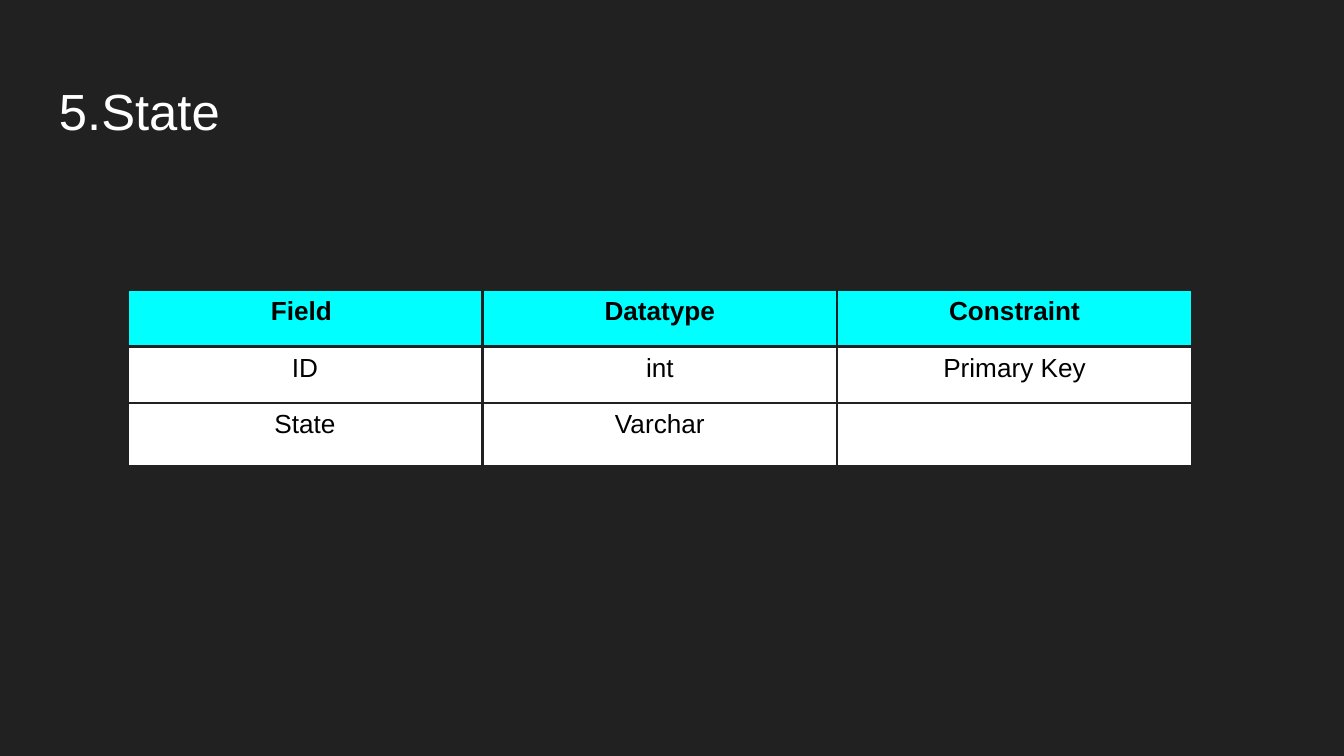
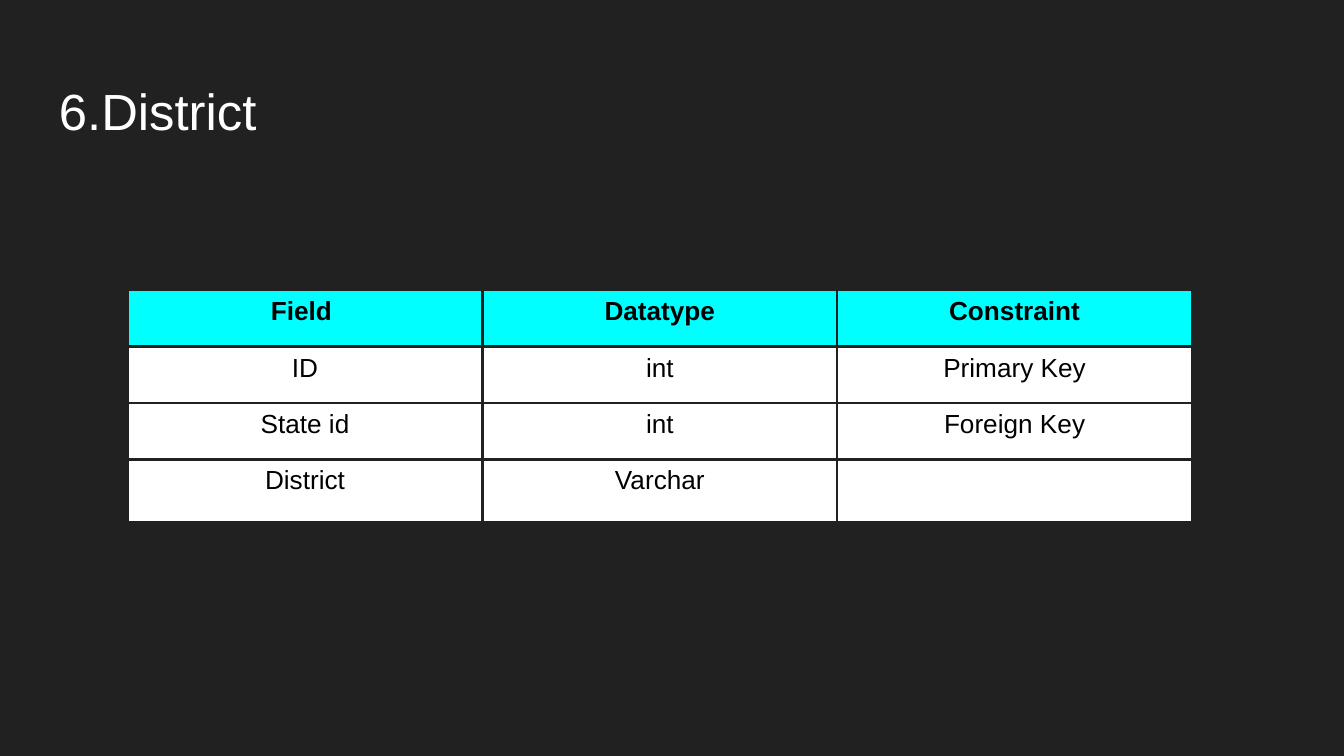
"""Build two slides that describe the State and District database tables."""
from dataclasses import dataclass

from lxml.etree import SubElement
from pptx import Presentation
from pptx.dml.color import RGBColor
from pptx.enum.text import PP_ALIGN
from pptx.oxml.ns import qn
from pptx.util import Inches, Pt

HEADINGS = ("Field ", "Datatype", "Constraint")
ENTITIES = [
    ("5.State", [
        ("ID", "int", "Primary Key"),
        ("State", "Varchar", ""),
    ]),
    ("6.District", [
        ("ID", "int", "Primary Key"),
        ("State id", "int", "Foreign Key"),
        ("District", "Varchar", ""),
    ]),
]


@dataclass(frozen=True)
class Theme:
    font: str = "Arial"
    background: str = "212121"
    title: str = "FFFFFF"
    text: str = "000000"
    heading_fill: str = "00FFFF"
    body_fill: str = "FFFFFF"
    border: str = "212121"
    title_size: float = 27.2
    cell_size: float = 14
    border_width: float = 1.47


THEME = Theme()
SLIDE_WIDTH = Inches(10)
SLIDE_HEIGHT = SLIDE_WIDTH * 9 // 16
COLUMN_WIDTH = Inches(2.64)
ROW_HEIGHT = Inches(0.42)
LAST_ROW_HEIGHT = Inches(0.47)


def style_paragraph(paragraph, size, color, bold=False):
    paragraph.font.name = THEME.font
    paragraph.font.size = Pt(size)
    paragraph.font.bold = bold
    paragraph.font.color.rgb = RGBColor.from_string(color)


def add_title(slide, title):
    box = slide.shapes.add_textbox(Inches(0.34), Inches(0.49), Inches(9.32), Inches(0.63))
    frame = box.text_frame
    frame.word_wrap = True
    frame.margin_left = frame.margin_right = Inches(0.1)
    frame.margin_top = frame.margin_bottom = Inches(0.1)
    frame.text = title
    style_paragraph(frame.paragraphs[0], THEME.title_size, THEME.title)


def add_borders(cell):
    properties = cell._tc.get_or_add_tcPr()
    for position, side in enumerate(("a:lnL", "a:lnR", "a:lnT", "a:lnB")):
        line = SubElement(properties, qn(side), w=str(Pt(THEME.border_width)))
        fill = SubElement(line, qn("a:solidFill"))
        SubElement(fill, qn("a:srgbClr"), val=THEME.border)
        properties.insert(position, line)


def fill_cell(cell, label, heading):
    cell.text = label
    cell.margin_left = cell.margin_right = Inches(0.1)
    cell.margin_top = cell.margin_bottom = Inches(0.05)
    cell.fill.solid()
    cell.fill.fore_color.rgb = RGBColor.from_string(
        THEME.heading_fill if heading else THEME.body_fill)
    paragraph = cell.text_frame.paragraphs[0]
    paragraph.alignment = PP_ALIGN.CENTER
    style_paragraph(paragraph, THEME.cell_size, THEME.text, heading)
    add_borders(cell)


def add_field_table(slide, fields):
    rows = [HEADINGS, *fields]
    height = ROW_HEIGHT * len(fields) + LAST_ROW_HEIGHT
    table = slide.shapes.add_table(
        len(rows), len(HEADINGS), Inches(0.95), Inches(2.16),
        COLUMN_WIDTH * len(HEADINGS), height).table
    table.horz_banding = False
    for column in table.columns:
        column.width = COLUMN_WIDTH
    for row_index, labels in enumerate(rows):
        last = row_index == len(fields)
        table.rows[row_index].height = LAST_ROW_HEIGHT if last else ROW_HEIGHT
        for column_index, label in enumerate(labels):
            fill_cell(table.cell(row_index, column_index), label, row_index == 0)


def main():
    deck = Presentation()
    deck.slide_width, deck.slide_height = SLIDE_WIDTH, SLIDE_HEIGHT
    for title, fields in ENTITIES:
        slide = deck.slides.add_slide(deck.slide_layouts[6])
        slide.background.fill.solid()
        slide.background.fill.fore_color.rgb = RGBColor.from_string(THEME.background)
        add_title(slide, title)
        add_field_table(slide, fields)
    deck.save("out.pptx")


if __name__ == "__main__":
    main()
